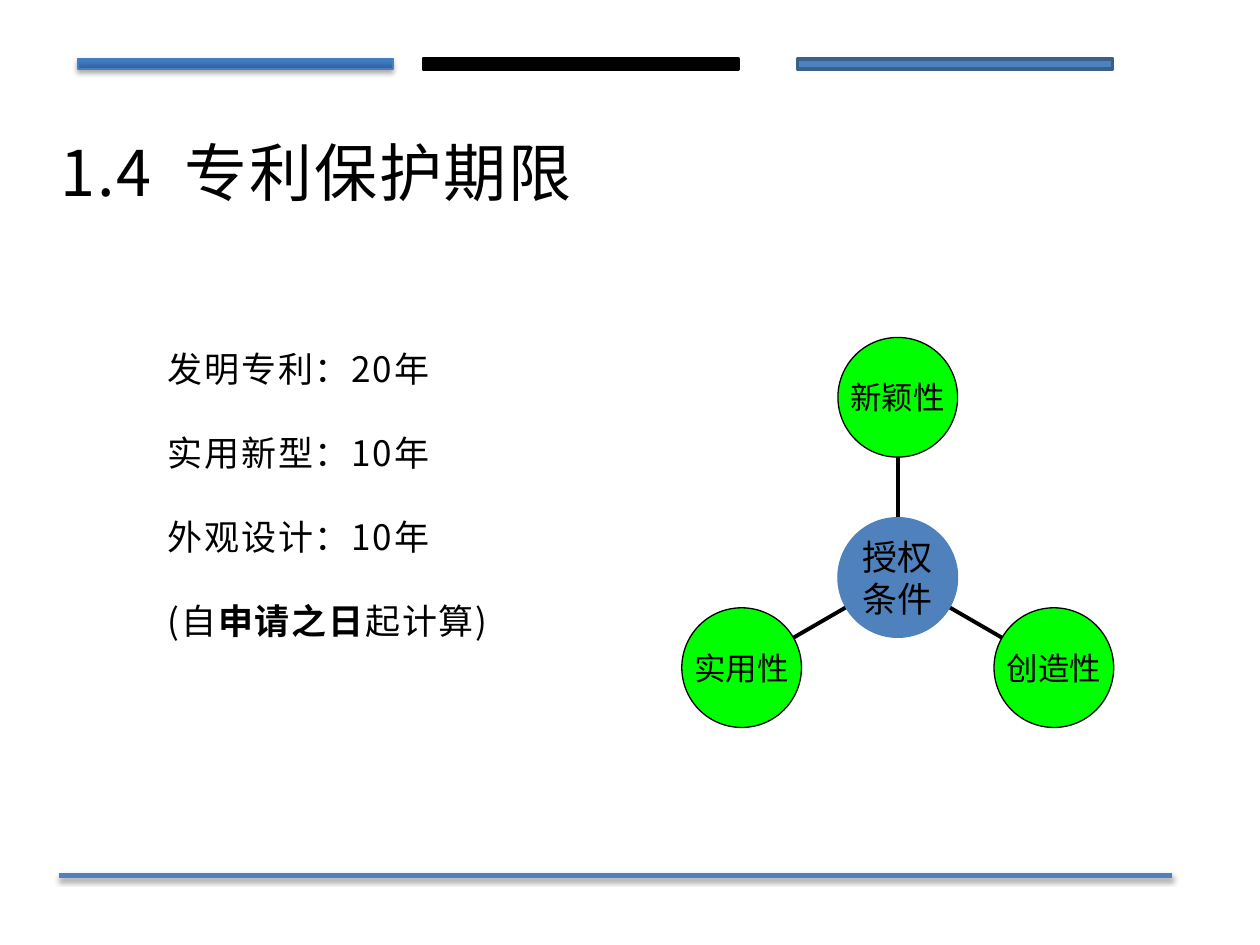
from math import cos, radians, sin

from lxml import etree
from pptx import Presentation
from pptx.dml.color import RGBColor
from pptx.enum.shapes import MSO_CONNECTOR, MSO_SHAPE
from pptx.enum.text import MSO_ANCHOR, MSO_AUTO_SIZE, PP_ALIGN
from pptx.oxml import parse_xml
from pptx.oxml.ns import nsdecls, qn
from pptx.util import Pt

RECTANGLE, OVAL = MSO_SHAPE.RECTANGLE, MSO_SHAPE.OVAL
STRAIGHT = MSO_CONNECTOR.STRAIGHT
LEFT, CENTER = PP_ALIGN.LEFT, PP_ALIGN.CENTER
MIDDLE, TOP = MSO_ANCHOR.MIDDLE, MSO_ANCHOR.TOP
NO_AUTOFIT = MSO_AUTO_SIZE.NONE

BLACK = RGBColor(0, 0, 0)
BLUE = RGBColor(0x4F, 0x81, 0xBD)
BLUE_EDGE = RGBColor(0x4B, 0x7E, 0xBC)
DARK_BLUE = RGBColor(0x3A, 0x5F, 0x8C)
GREEN = RGBColor(0, 255, 0)
TEXT_FONT, DIAGRAM_FONT = "Noto Sans CJK SC", "Comic Neue"

TITLE = "1.4  专利保护期限"
TERMS = [
    [("发明专利：20年", False)],
    [("实用新型：10年", False)],
    [("外观设计：10年", False)],
    [("(自", False), ("申请之日", True), ("起计算)", False)],
]
HUB = ["授权", "条件"]
CONDITIONS = [("实用性", 150), ("创造性", 30), ("新颖性", -90)]
BARS = [
    (44.6, BLUE, BLUE_EDGE, 0.75),
    (455.8, BLUE, DARK_BLUE, 2),
    (241.9, BLACK, BLACK, 2),
]
GRADIENT = [(0, "2F5F99"), (80, "3D7CC7"), (100, "3A7CCB")]
HUB_X, HUB_Y, RADIUS, SPOKE = 513, 330, 34.2, 103


def set_effects(shape, shadow):
    effects = etree.SubElement(shape._element.spPr, qn("a:effectLst"))
    if shadow:
        effects.append(parse_xml(
            f'<a:outerShdw {nsdecls("a")} blurRad="{Pt(3.1)}" dist="{Pt(1.8)}" '
            'dir="5400000" rotWithShape="0"><a:srgbClr val="000000">'
            '<a:alpha val="35000"/></a:srgbClr></a:outerShdw>'))


def set_gradient(shape):
    stops = "".join(f'<a:gs pos="{place * 1000}"><a:srgbClr val="{color}"/></a:gs>'
                    for place, color in GRADIENT)
    properties = shape._element.spPr
    properties.replace(properties.find(qn("a:solidFill")), parse_xml(
        f'<a:gradFill {nsdecls("a")} rotWithShape="1"><a:gsLst>{stops}</a:gsLst>'
        '<a:lin ang="16200000" scaled="0"/></a:gradFill>'))


def style_paragraph(para, font, size, align, spacing=0):
    para.alignment = align
    para.font.size = Pt(size)
    para.font.color.rgb = BLACK
    para.font.name = font
    defaults = para._p.pPr.find(qn("a:defRPr"))
    etree.SubElement(defaults, qn("a:ea")).set("typeface", font)
    if spacing:
        defaults.set("spc", str(spacing * 100))


def add_solid(shapes, kind, left, top, width, height, fill, line, weight):
    shape = shapes.add_shape(kind, Pt(left), Pt(top), Pt(width), Pt(height))
    shape.fill.solid()
    shape.fill.fore_color.rgb = fill
    shape.line.color.rgb = line
    shape.line.width = Pt(weight)
    return shape


def add_line(shapes, start, end, color, weight, shadow=False):
    line = shapes.add_connector(STRAIGHT, *(Pt(value) for value in (*start, *end)))
    line.line.color.rgb = color
    line.line.width = Pt(weight)
    set_effects(line, shadow)


def on_spoke(angle, distance):
    turn = radians(angle)
    return HUB_X + distance * cos(turn), HUB_Y + distance * sin(turn)


def add_circle(shapes, center, lines, size, fill, line):
    x, y = center
    circle = add_solid(shapes, OVAL, x - RADIUS, y - RADIUS,
                       2 * RADIUS, 2 * RADIUS, fill, line, 0.75)
    circle.shadow.inherit = False
    frame = circle.text_frame
    frame.margin_left = frame.margin_right = frame.margin_top = frame.margin_bottom = 0
    frame.word_wrap = False
    frame.vertical_anchor = MIDDLE
    frame.text = "\n".join(lines)
    for para in frame.paragraphs:
        style_paragraph(para, DIAGRAM_FONT, size, CENTER)


def place(box, left, top, width, height, anchor):
    box.left, box.top, box.width, box.height = Pt(left), Pt(top), Pt(width), Pt(height)
    box.text_frame.auto_size = NO_AUTOFIT
    box.text_frame.vertical_anchor = anchor
    box.text_frame.word_wrap = True


deck = Presentation()
deck.slide_width, deck.slide_height = Pt(720), Pt(540)
page = deck.slides.add_slide(deck.slide_layouts[1])
title, body = page.placeholders[0], page.placeholders[1]

for index, (left, fill, line, weight) in enumerate(BARS):
    bar = add_solid(page.shapes, RECTANGLE, left, 33.6, 180, 5.8, fill, line, weight)
    if index == 0:
        set_gradient(bar)
    set_effects(bar, shadow=index == 0)

place(title, 27.4, 62, 648, 72, MIDDLE)
title.text_frame.text = TITLE
style_paragraph(title.text_frame.paragraphs[0], TEXT_FONT, 36, LEFT, 1)

add_line(page.shapes, (33.8, 500.4), (669.6, 500.4), BLUE, 3, shadow=True)

diagram = page.shapes.add_group_shape().shapes
for name, angle in CONDITIONS:
    add_line(diagram, on_spoke(angle, RADIUS), on_spoke(angle, SPOKE - RADIUS), BLACK, 2.25)
    add_circle(diagram, on_spoke(angle, SPOKE), [name], 18, GREEN, BLACK)
add_circle(diagram, (HUB_X, HUB_Y), HUB, 20, BLUE, BLUE)

place(body, 88.6, 195, 287.3, 177, TOP)
frame = body.text_frame
for index, spans in enumerate(TERMS):
    para = frame.add_paragraph() if index else frame.paragraphs[0]
    for words, bold in spans:
        span = para.add_run()
        span.text = words
        if bold:
            span.font.bold = True
    para.line_spacing = Pt(24)
    para.space_before = Pt(0)
    para.space_after = Pt(24)
    properties = para._p.get_or_add_pPr()
    properties.set("marL", "0")
    properties.set("indent", "0")
    etree.SubElement(properties, qn("a:buNone"))
    style_paragraph(para, TEXT_FONT, 20, LEFT, 1)

deck.save("out.pptx")
